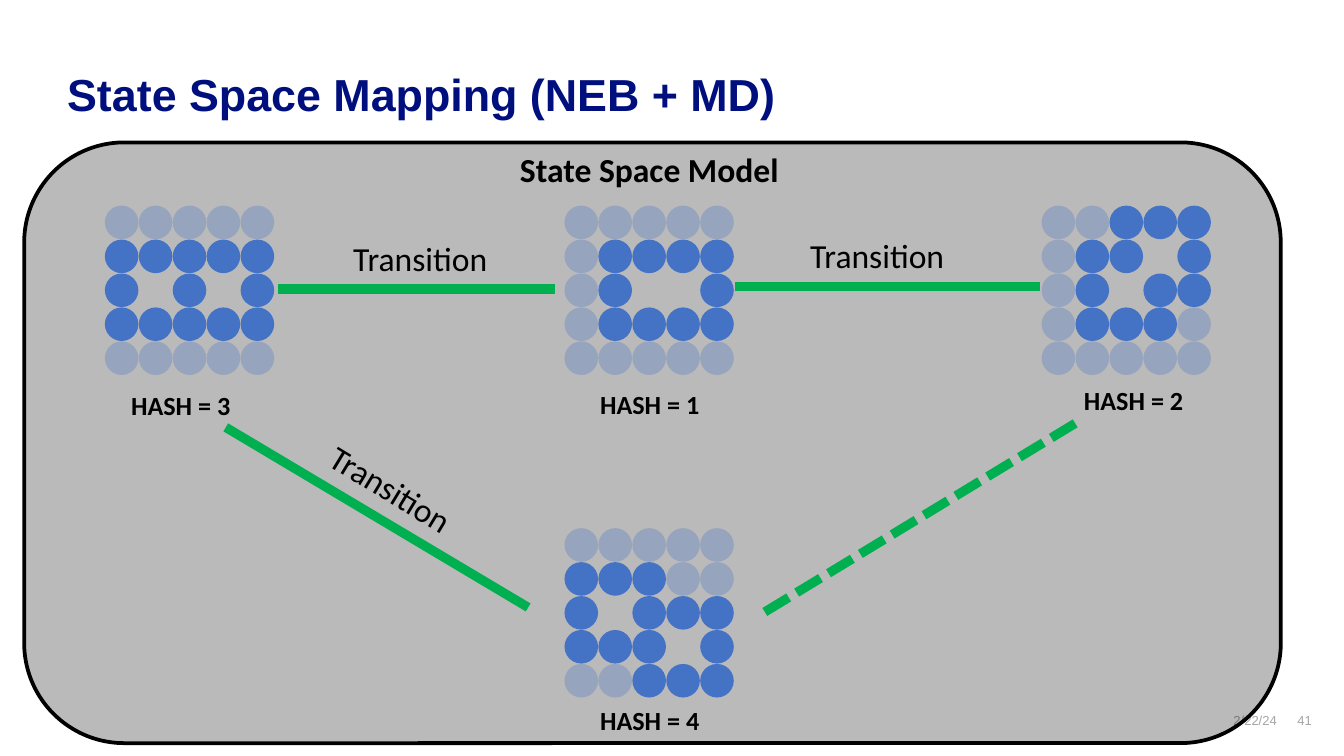
from dataclasses import dataclass

import pptx
import pptx.dml.color
import pptx.enum.dml
import pptx.enum.shapes
import pptx.enum.text
import pptx.oxml.ns
import pptx.util
from lxml import etree
from pptx.util import Inches

COLORS = {
    "navy": "000F7E",
    "black": "000000",
    "atom": "4472C4",
    "transition": "00B050",
    "footer": "A6A6A6",
}
ALIGN = pptx.enum.text.PP_ALIGN
SHAPES = pptx.enum.shapes.MSO_SHAPE
ATOM_SIZE = 0.25
ATOM_PITCH = 1.01 / 4  # five atoms span four pitches


@dataclass
class Label:
    text: str
    left: float
    top: float
    width: float
    height: float
    size: float
    font: str = "Calibri"
    color: str = "black"
    bold: bool = False
    align: ALIGN = ALIGN.LEFT
    margins: bool = True
    wrap: bool = False
    rotation: float = 0


@dataclass
class State:
    """Atom grid: '#' is a solid atom, '.' a faded atom, ' ' a vacancy."""
    number: int
    left: float
    top: float
    rows: tuple[str, ...]
    label_left: float
    label_top: float


@dataclass
class Transition:
    start: tuple[float, float]
    end: tuple[float, float]
    dashed: bool = False


STATES = [
    State(3, 0.78, 1.53, (".....", "#####", "# # #", "#####", "....."), 0.87, 2.85),
    State(4, 4.2, 3.93, (".....", "###..", "# ###", "### #", "..###"), 4.36, 5.19),
    State(2, 7.75, 1.53, ("..###", ".## #", ".# ##", ".###.", "....."), 7.96, 2.81),
    State(1, 4.2, 1.53, (".....", ".####", ".#  #", ".####", "....."), 4.36, 2.84),
]
TRANSITIONS = [
    Transition((5.47, 2.13), (7.74, 2.13)),
    Transition((2.07, 2.15), (4.13, 2.15)),
    Transition((1.68, 3.18), (3.93, 4.52)),
    Transition((8, 3.15), (5.68, 4.56), dashed=True),
]
FOOTERS = [
    Label(text, left, 5.3, width, height, 7, "Arial", "footer",
          align=ALIGN.RIGHT, margins=False, wrap=True)
    for text, left, width, height in (("41", 9.52, 0.24, 0.22),
                                      ("2/22/24", 8.83, 0.67, 0.16))
]
HEADINGS = [
    Label("State Space Mapping (NEB + MD)", 0.5, 0.5, 9.03, 0.73, 24, "Arial",
          "navy", bold=True, margins=False, wrap=True),
    Label("State Space Model", 3.77, 1.06, 2.49, 0.4, 18, bold=True, wrap=True),
]
TRANSITION_LABELS = [
    Label("Transition", left, top, 1.21, 0.4, 18, rotation=rotation)
    for left, top, rotation in ((5.93, 1.7, 0), (2.53, 1.72, 0), (2.31, 3.44, 31.2))
]


def rgb(name: str) -> pptx.dml.color.RGBColor:
    return pptx.dml.color.RGBColor.from_string(COLORS[name])


def set_fill(sp, color: str, opacity: int = 100) -> None:
    sp.shadow.inherit = False
    sp.fill.solid()
    sp.fill.fore_color.rgb = rgb(color)
    if opacity < 100:
        clr = sp._element.spPr.find(".//" + pptx.oxml.ns.qn("a:srgbClr"))
        alpha = etree.SubElement(clr, pptx.oxml.ns.qn("a:alpha"))
        alpha.set("val", str(opacity * 1000))


def add_label(s, label: Label) -> None:
    sp = s.shapes.add_textbox(Inches(label.left), Inches(label.top),
                              Inches(label.width), Inches(label.height))
    sp.rotation = label.rotation
    tf = sp.text_frame
    tf.word_wrap = label.wrap
    if not label.margins:
        tf.margin_left = tf.margin_right = tf.margin_top = tf.margin_bottom = 0
    p = tf.paragraphs[0]
    p.text = label.text
    p.alignment = label.align
    p.font.name = label.font
    p.font.size = pptx.util.Pt(label.size)
    p.font.bold = label.bold
    p.font.color.rgb = rgb(label.color)


def add_panel(s) -> None:
    sp = s.shapes.add_shape(SHAPES.ROUNDED_RECTANGLE, Inches(0.18), Inches(1.06),
                            Inches(9.35), Inches(4.47))
    set_fill(sp, "black", 27)
    sp.line.color.rgb = rgb("black")
    sp.line.width = pptx.util.Pt(2)


def add_state(s, state: State) -> None:
    group = s.shapes.add_group_shape()
    for i, row in enumerate(state.rows):
        for j, atom in enumerate(row):
            if atom == " ":
                continue
            sp = group.shapes.add_shape(
                SHAPES.OVAL,
                Inches(state.left + j * ATOM_PITCH), Inches(state.top + i * ATOM_PITCH),
                Inches(ATOM_SIZE), Inches(ATOM_SIZE))
            set_fill(sp, "atom", 100 if atom == "#" else 30)
            sp.line.fill.background()
    add_label(s, Label(f"HASH = {state.number}", state.label_left, state.label_top,
                       0.95, 0.34, 14, bold=True, align=ALIGN.CENTER))


def add_transition(s, transition: Transition) -> None:
    points = [Inches(v) for v in (*transition.start, *transition.end)]
    line = s.shapes.add_connector(pptx.enum.shapes.MSO_CONNECTOR.STRAIGHT, *points)
    line.line.color.rgb = rgb("transition")
    line.line.width = pptx.util.Pt(5)
    if transition.dashed:
        line.line.dash_style = pptx.enum.dml.MSO_LINE.SQUARE_DOT
    etree.SubElement(line._element.spPr, pptx.oxml.ns.qn("a:effectLst"))


def main() -> None:
    prs = pptx.Presentation()
    prs.slide_width = Inches(10)
    prs.slide_height = Inches(10 * 9 / 16)
    s = prs.slides.add_slide(prs.slide_layouts[6])

    # Footer lies behind the translucent panel
    for label in FOOTERS:
        add_label(s, label)
    add_panel(s)
    for label in HEADINGS:
        add_label(s, label)

    # States and the transitions between them
    for state in STATES:
        add_state(s, state)
    for transition in TRANSITIONS:
        add_transition(s, transition)
    for label in TRANSITION_LABELS:
        add_label(s, label)

    prs.save("out.pptx")


if __name__ == "__main__":
    main()
